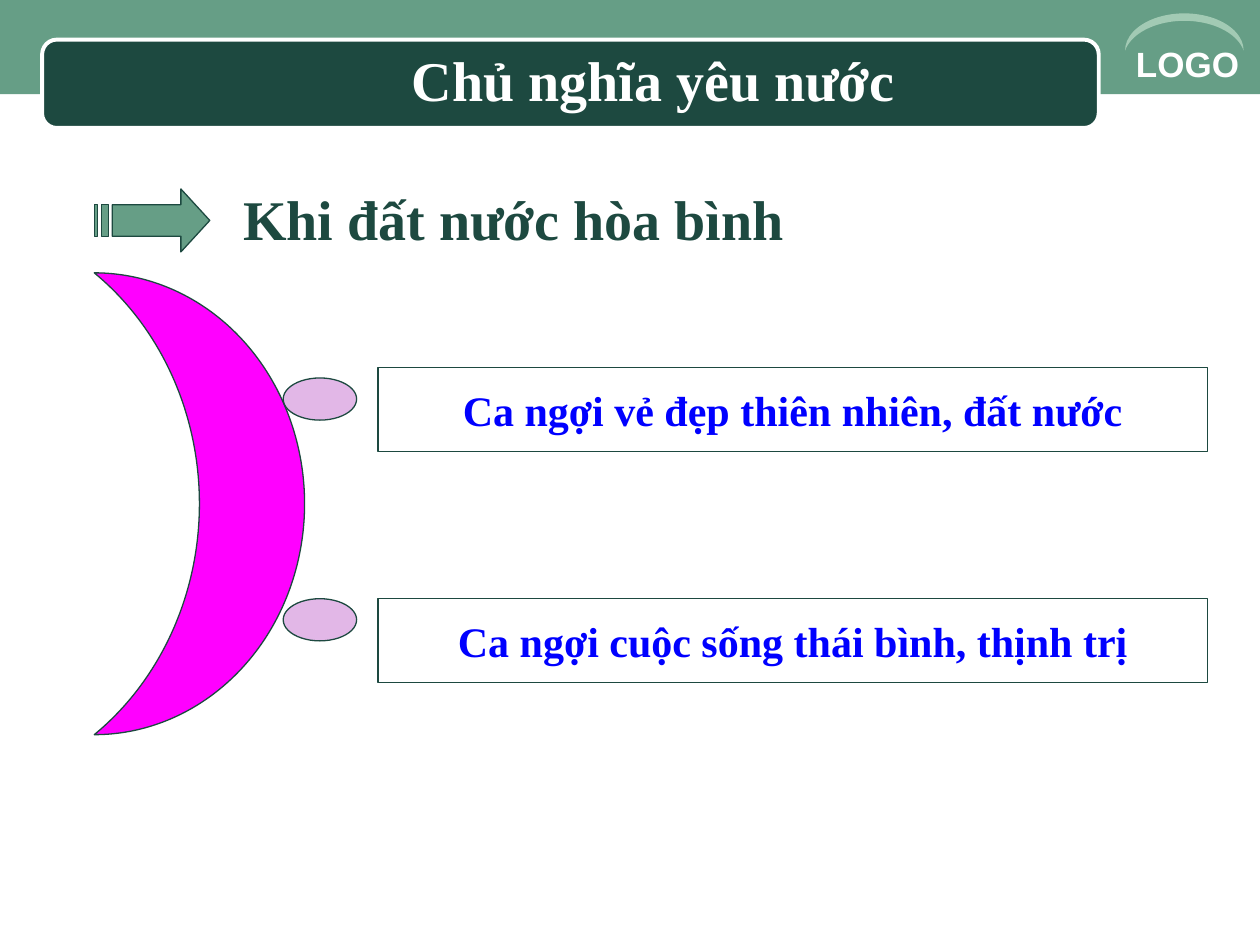
import pptx
import pptx.util
import pptx.dml.color
import pptx.enum.shapes
import pptx.enum.text

Cm = pptx.util.Cm
Pt = pptx.util.Pt
RGBColor = pptx.dml.color.RGBColor
SHAPE = pptx.enum.shapes.MSO_SHAPE
ALIGN = pptx.enum.text.PP_ALIGN
ANCHOR = pptx.enum.text.MSO_ANCHOR

TITLE = "Chủ nghĩa yêu nước"
SUBTITLE = "Khi đất nước hòa bình"
BADGE = "LOGO"
THEMES = [
    ("Ca ngợi vẻ đẹp thiên nhiên, đất nước", 7.62, 7.41),
    ("Ca ngợi cuộc sống thái bình, thịnh trị", 12.07, 12.07),
]

GREEN = RGBColor(0x66, 0x9E, 0x86)
DARK_GREEN = RGBColor(0x1D, 0x49, 0x40)
PALE_GREEN = RGBColor(0xA2, 0xCA, 0xB4)
MAGENTA = RGBColor(0xFF, 0x00, 0xFF)
LILAC = RGBColor(0xE2, 0xB7, 0xE7)
BLUE = RGBColor(0x00, 0x00, 0xFF)
WHITE = RGBColor(0xFF, 0xFF, 0xFF)


def paint(shape, fill, line=None, weight=0.75):
    shape.shadow.inherit = False
    shape.fill.solid()
    shape.fill.fore_color.rgb = fill
    if line is None:
        shape.line.fill.background()
    else:
        shape.line.color.rgb = line
        shape.line.width = Pt(weight)
    return shape


def add_preset(slide, kind, left, top, width, height, fill, line=None, weight=0.75):
    shape = slide.shapes.add_shape(kind, Cm(left), Cm(top), Cm(width), Cm(height))
    return paint(shape, fill, line, weight)


def write_text(shape, text, *, size, color, font="Times New Roman",
               align=ALIGN.LEFT, anchor=ANCHOR.TOP, wrap=True):
    frame = shape.text_frame
    frame.word_wrap = wrap
    frame.vertical_anchor = anchor
    paragraph = frame.paragraphs[0]
    paragraph.alignment = align
    run = paragraph.add_run()
    run.text = text
    run.font.name = font
    run.font.size = Pt(size)
    run.font.bold = True
    run.font.color.rgb = color


def add_label(slide, text, left, top, width, height, **text_format):
    box = slide.shapes.add_textbox(Cm(left), Cm(top), Cm(width), Cm(height))
    write_text(box, text, **text_format)


def add_striped_arrow(slide, left, top, width, height):
    def rectangle(start, end):
        return [(start, 0.25), (end, 0.25), (end, 0.75), (start, 0.75)]

    body = [(5 / 32, 0.25), (0.75, 0.25), (0.75, 0), (1, 0.5),
            (0.75, 1), (0.75, 0.75), (5 / 32, 0.75)]
    contours = [body, rectangle(0, 1 / 32), rectangle(1 / 16, 1 / 8)]
    builder = None
    for contour in contours:
        points = [(Cm(left + x * width), Cm(top + y * height)) for x, y in contour]
        if builder is None:
            builder = slide.shapes.build_freeform(*points[0])
        else:
            builder.move_to(*points[0])
        builder.add_line_segments(points[1:], close=True)
    paint(builder.convert_to_shape(), GREEN, DARK_GREEN)


def main():
    presentation = pptx.Presentation()
    presentation.slide_width = Cm(25.4)
    presentation.slide_height = Cm(19.05)
    slide = presentation.slides.add_slide(presentation.slide_layouts[6])

    add_preset(slide, SHAPE.RECTANGLE, 0, 0, 25.4, 1.9, GREEN)
    add_preset(slide, SHAPE.ROUNDED_RECTANGLE, 0.85, 0.8, 21.3, 1.78,
               DARK_GREEN, WHITE, 2.25)
    add_label(slide, BADGE, 22.65, 0.74, 2.75, 1.11,
              size=20, color=WHITE, font="Arial")

    badge_arc = add_preset(slide, SHAPE.MOON, 23.5, -0.55, 0.75, 2.39, PALE_GREEN)
    badge_arc.adjustments[0] = 0.2
    badge_arc.rotation = 90

    crescent = add_preset(slide, SHAPE.MOON, 1.9, 5.5, 4.24, 9.31,
                          MAGENTA, DARK_GREEN)
    crescent.rotation = 180

    for text, oval_top, box_top in THEMES:
        add_preset(slide, SHAPE.OVAL, 5.71, oval_top, 1.48, 0.85, LILAC, DARK_GREEN)
        box = add_preset(slide, SHAPE.RECTANGLE, 7.62, box_top, 16.72, 1.69,
                         WHITE, DARK_GREEN)
        write_text(box, text, size=24, color=BLUE, align=ALIGN.CENTER,
                   anchor=ANCHOR.MIDDLE, wrap=False)

    add_label(slide, TITLE, 8.05, 0.79, 10.54, 1.63, size=32, color=WHITE)
    add_label(slide, SUBTITLE, 4.65, 3.6, 15.88, 1.63, size=32, color=DARK_GREEN)
    add_striped_arrow(slide, 1.9, 3.81, 2.33, 1.27)

    presentation.save("out.pptx")


if __name__ == "__main__":
    main()
